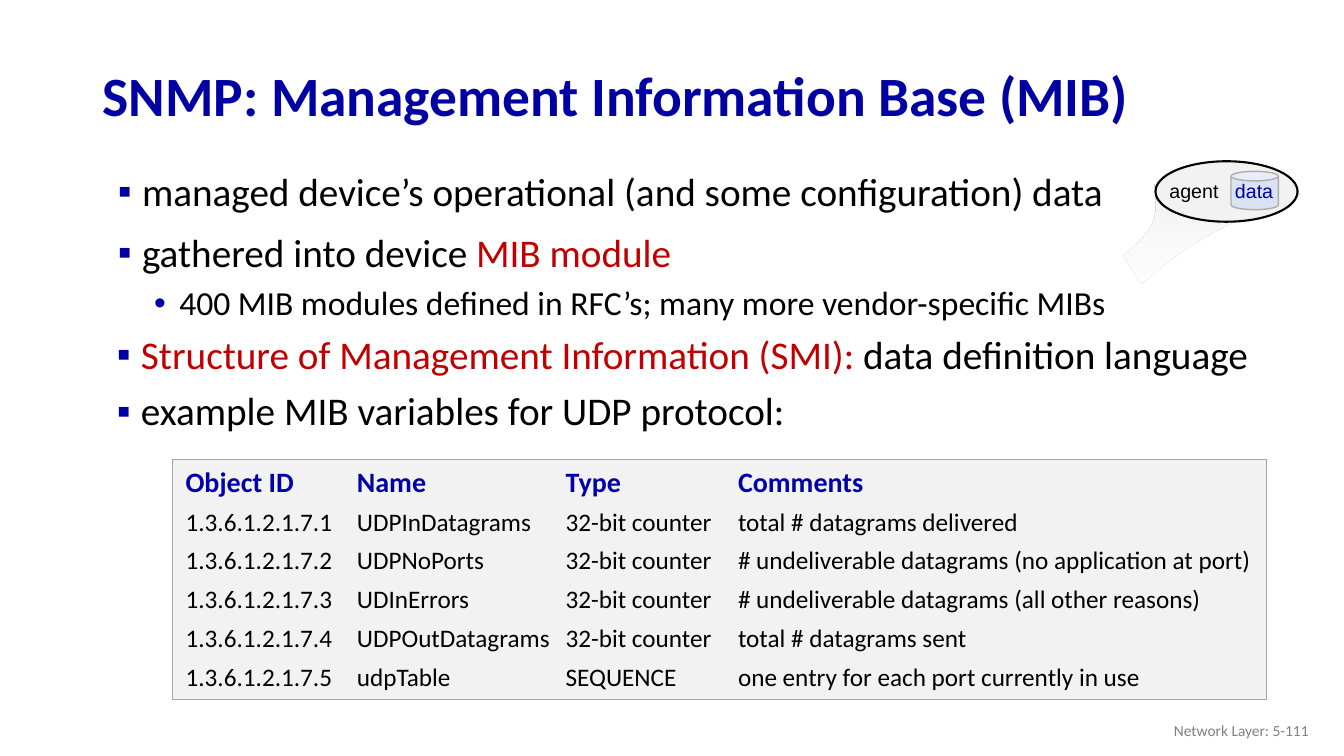
from dataclasses import dataclass

from lxml import etree
from pptx import Presentation
from pptx.dml.color import RGBColor
from pptx.enum.shapes import MSO_SHAPE as Shape
from pptx.enum.text import MSO_ANCHOR as Anchor, PP_ALIGN as Align
from pptx.oxml.ns import qn
from pptx.util import Inches, Pt


@dataclass(frozen=True)
class Theme:
    font: str = "Calibri"
    label_font: str = "Arial"
    navy: str = "0000A3"
    blue: str = "0000A8"
    red: str = "C00000"
    black: str = "000000"
    white: str = "FFFFFF"
    gray: str = "808080"
    panel: str = "F2F2F2"
    panel_line: str = "A6A6A6"
    can: str = "DAE3F3"
    can_line: str = "AFABAB"
    title_size: float = 39.6
    point_size: float = 28
    subpoint_size: float = 24
    header_size: float = 20
    row_size: float = 18
    label_size: float = 14
    footer_size: float = 11


theme = Theme()
NO_STYLE_NO_GRID = "{2D5ABB26-0587-4C30-8999-92F81FD0307C}"

prs = Presentation()
prs.slide_width, prs.slide_height = Inches(13.33), Inches(7.5)
slide = prs.slides.add_slide(prs.slide_layouts[6])


def add_run(paragraph, text, size, color, font=theme.font, bold=False):
    run = paragraph.add_run()
    run.text = text
    run.font.name, run.font.size, run.font.bold = font, Pt(size), bold
    run.font.color.rgb = RGBColor.from_string(color)


def add_panel(preset, left, top, width, height, fill, line, weight):
    panel = slide.shapes.add_shape(preset, Inches(left), Inches(top), Inches(width), Inches(height))
    panel.shadow.inherit = False
    panel.fill.solid()
    panel.fill.fore_color.rgb = RGBColor.from_string(fill)
    panel.line.color.rgb = RGBColor.from_string(line)
    panel.line.width = Pt(weight)


title = slide.shapes.add_textbox(Inches(0.92), Inches(0.49), Inches(11.5), Inches(0.98)).text_frame
title.word_wrap = True
title.vertical_anchor = Anchor.MIDDLE
title.paragraphs[0].line_spacing = 0.9
add_run(title.paragraphs[0], "SNMP: Management Information Base (MIB)",
        theme.title_size, theme.navy, bold=True)

point_groups = [
    ((0.92, 1.61, 11.78, 1.8), 1.0, [
        (0, [("managed device’s operational (and some configuration) data", theme.black)]),
        (0, [("gathered into device ", theme.black), ("MIB module", theme.red)]),
        (1, [("400 MIB modules defined in RFC’s; many more vendor-specific MIBs", theme.black)]),
    ]),
    ((0.91, 3.28, 11.78, 1.1), 0.9, [
        (0, [("Structure of Management Information (SMI): ", theme.red),
             ("data definition language", theme.black)]),
        (0, [("example MIB variables for UDP protocol:", theme.black)]),
    ]),
]
point_levels = [
    ("▪", theme.navy, 0.39, -0.24, 10, theme.point_size),
    ("•", theme.blue, 0.76, -0.25, 5, theme.subpoint_size),
]
for box, spacing, points in point_groups:
    frame = slide.shapes.add_textbox(*map(Inches, box)).text_frame
    frame.word_wrap = True
    for index, (level, parts) in enumerate(points):
        mark, mark_color, margin, indent, gap, size = point_levels[level]
        point = frame.add_paragraph() if index else frame.paragraphs[0]
        point.level = level
        point.line_spacing = spacing
        point.space_before = Pt(gap if index else 0)
        properties = point._p.get_or_add_pPr()
        properties.set("marL", str(Inches(margin)))
        properties.set("indent", str(Inches(indent)))
        bullet_color = etree.SubElement(properties, qn("a:buClr"))
        etree.SubElement(bullet_color, qn("a:srgbClr"), val=mark_color)
        etree.SubElement(properties, qn("a:buFont"), typeface=theme.label_font)
        etree.SubElement(properties, qn("a:buChar"), char=mark)
        for text, color in parts:
            add_run(point, text, size, color)

add_panel(Shape.RECTANGLE, 1.71, 4.56, 10.85, 2.38, theme.panel, theme.panel_line, 1)
mib_rows = [
    ("Object ID", "Name", "Type", "Comments"),
    ("1.3.6.1.2.1.7.1", "UDPInDatagrams", "32-bit counter", "total # datagrams delivered"),
    ("1.3.6.1.2.1.7.2", "UDPNoPorts", "32-bit counter",
     "# undeliverable datagrams (no application at port)"),
    ("1.3.6.1.2.1.7.3", "UDInErrors", "32-bit counter",
     "# undeliverable datagrams (all other reasons)"),
    ("1.3.6.1.2.1.7.4", "UDPOutDatagrams", "32-bit counter", "total # datagrams sent"),
    ("1.3.6.1.2.1.7.5", "udpTable", "SEQUENCE", "one entry for each port currently in use"),
]
column_widths = [1.7, 2.07, 1.71, 5.22]
header_height, row_height = 0.4, 0.385
mib_table = slide.shapes.add_table(
    len(mib_rows), len(column_widths), Inches(1.84), Inches(4.59), Inches(sum(column_widths)),
    Inches(header_height + row_height * (len(mib_rows) - 1))).table
mib_table.first_row = mib_table.horz_banding = False
mib_table._tbl.tblPr.find(qn("a:tableStyleId")).text = NO_STYLE_NO_GRID
for column, width in zip(mib_table.columns, column_widths):
    column.width = Inches(width)
for row_index, entries in enumerate(mib_rows):
    is_header = row_index == 0
    mib_table.rows[row_index].height = Inches(header_height if is_header else row_height)
    for column_index, entry in enumerate(entries):
        cell = mib_table.cell(row_index, column_index)
        cell.fill.background()
        cell.margin_left = cell.margin_right = cell.margin_top = cell.margin_bottom = 0
        cell.vertical_anchor = Anchor.MIDDLE
        add_run(cell.text_frame.paragraphs[0], entry,
                theme.header_size if is_header else theme.row_size,
                theme.blue if is_header else theme.black, bold=is_header)

callout_curves = [
    [(11.14, 2.53), (11.49, 2.25), (11.48, 2.14), (11.45, 1.83)],
    [(12.91, 1.92), (12.04, 2.27), (11.83, 2.38), (11.32, 2.81)],
]
curve_steps = 16
outline = []
for curve in callout_curves:
    for step in range(curve_steps + 1):
        t = step / curve_steps
        weights = ((1 - t) ** 3, 3 * t * (1 - t) ** 2, 3 * t ** 2 * (1 - t), t ** 3)
        outline.append(tuple(Inches(sum(w * point[axis] for w, point in zip(weights, curve)))
                             for axis in (0, 1)))
builder = slide.shapes.build_freeform(*outline[0])
builder.add_line_segments(outline[1:], close=True)
callout = builder.convert_to_shape()
callout.shadow.inherit = False
callout.line.fill.background()
callout.fill.gradient()
callout.fill.gradient_angle = 90
for stop, position, color in zip(callout.fill.gradient_stops, (0, 0.99), (theme.white, theme.panel)):
    stop.position = position
    stop.color.rgb = RGBColor.from_string(color)
clear_stop = callout._element.spPr.find(".//" + qn("a:srgbClr"))
etree.SubElement(clear_stop, qn("a:alpha"), val="72000")

add_panel(Shape.OVAL, 11.46, 1.6, 1.41, 0.6, theme.panel, theme.black, 1.5)
add_panel(Shape.CAN, 12.21, 1.7, 0.47, 0.38, theme.can, theme.can_line, 1)
for text, left, width, color in [("agent", 11.5, 0.69, theme.black), ("data", 12.15, 0.58, theme.blue)]:
    label = slide.shapes.add_textbox(Inches(left), Inches(1.73), Inches(width), Inches(0.34)).text_frame
    label.word_wrap = False
    add_run(label.paragraphs[0], text, theme.label_size, color, theme.label_font)

footer = slide.shapes.add_textbox(Inches(10.08), Inches(7.05), Inches(3), Inches(0.4)).text_frame
footer.word_wrap = True
footer.vertical_anchor = Anchor.MIDDLE
footer.paragraphs[0].alignment = Align.RIGHT
add_run(footer.paragraphs[0], "Network Layer: 5-111", theme.footer_size, theme.gray)

prs.save("out.pptx")
